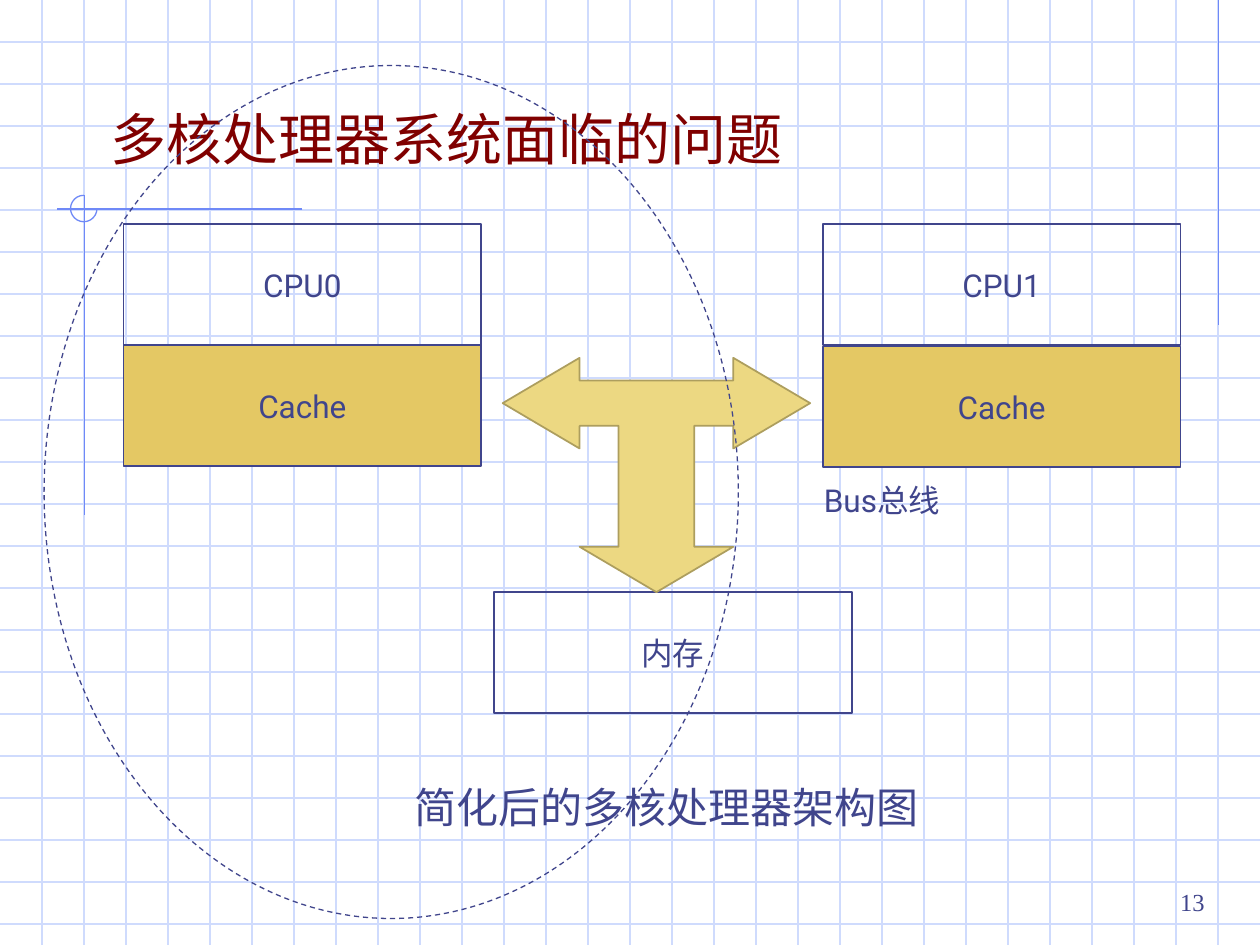
"""Build the slide on the problem facing multi-core processor systems."""
from lxml.etree import SubElement
from pptx import Presentation
from pptx.dml.color import RGBColor
from pptx.enum.dml import MSO_LINE
from pptx.enum.shapes import MSO_CONNECTOR, MSO_SHAPE
from pptx.enum.text import MSO_ANCHOR, PP_ALIGN
from pptx.oxml.ns import qn
from pptx.util import Inches, Pt

GRID = RGBColor(0xCF, 0xDB, 0xFD)
BLUE = RGBColor(0x6F, 0x89, 0xF7)
NAVY = RGBColor(0x40, 0x45, 0x8C)
RED = RGBColor(0x80, 0x00, 0x00)
GOLD = RGBColor(0xE4, 0xC8, 0x64)
SAND = RGBColor(0xEC, 0xD8, 0x82)
OLIVE = RGBColor(0xAD, 0x9E, 0x5E)
CJK = "Noto Sans CJK SC"

deck = Presentation()
deck.slide_width, deck.slide_height = Inches(10), Inches(7.5)
slide = deck.slides.add_slide(deck.slide_layouts[6])
shapes = slide.shapes


def rule(x1, y1, x2, y2, color):
    line = shapes.add_connector(
        MSO_CONNECTOR.STRAIGHT, Inches(x1), Inches(y1), Inches(x2), Inches(y2))
    line.line.color.rgb = color
    line.line.width = Pt(0.75)
    SubElement(line._element.spPr, qn("a:effectLst"))


def write(shape, text, size=18, font="Roboto", color=NAVY,
          align=PP_ALIGN.LEFT, anchor=MSO_ANCHOR.TOP, wrap=True):
    frame = shape.text_frame
    frame.word_wrap = wrap
    frame.vertical_anchor = anchor
    para = frame.paragraphs[0]
    para.alignment = align
    run = para.add_run()
    run.text = text
    run.font.size = Pt(size)
    run.font.color.rgb = color
    run.font.name = font
    SubElement(run._r.get_or_add_rPr(), qn("a:ea"), typeface=CJK)


for row in range(1, 23):
    rule(0, row / 3, 10, row / 3, GRID)
for col in range(1, 30):
    rule(col / 3, 0, col / 3, 7.5, GRID)

rule(9.67, 0, 9.67, 2.58, BLUE)
rule(2.4, 1.66, 0.45, 1.66, BLUE)
rule(0.67, 1.55, 0.67, 4.09, BLUE)
arc = shapes.add_shape(
    MSO_SHAPE.ARC, Inches(0.56), Inches(1.55), Inches(0.21), Inches(0.21))
arc.adjustments[0] = 0
arc.adjustments[1] = 162
arc.fill.background()
arc.line.color.rgb = BLUE
arc.line.width = Pt(0.75)
arc.shadow.inherit = False

labels = [
    (7.58, 6.99, 2.08, 0.5, "13",
     dict(size=14, font="Times New Roman", align=PP_ALIGN.RIGHT)),
    (0.78, 0.78, 8.02, 0.64, "多核处理器系统面临的问题",
     dict(size=32, font=CJK, color=RED)),
    (6.44, 3.77, 1.19, 0.4, "Bus总线", dict(wrap=False)),
    (3.19, 6.15, 4.2, 0.5, "简化后的多核处理器架构图",
     dict(size=24, font=CJK, wrap=False)),
]
for x, y, wide, high, text, style in labels:
    box = shapes.add_textbox(Inches(x), Inches(y), Inches(wide), Inches(high))
    write(box, text, **style)

blocks = [
    (0.98, 1.78, "CPU0", None),
    (0.98, 2.74, "Cache", GOLD),
    (6.53, 1.78, "CPU1", None),
    (6.53, 2.75, "Cache", GOLD),
    (3.92, 4.7, "内存", None),
]
for x, y, text, fill in blocks:
    block = shapes.add_shape(
        MSO_SHAPE.RECTANGLE, Inches(x), Inches(y), Inches(2.84), Inches(0.96))
    block.shadow.inherit = False
    block.line.color.rgb = NAVY
    block.line.width = Pt(1)
    if fill:
        block.fill.solid()
        block.fill.fore_color.rgb = fill
    else:
        block.fill.background()
    write(block, text, align=PP_ALIGN.CENTER, anchor=MSO_ANCHOR.MIDDLE)

mid = 5.21
half = [(0, 4.7), (0.61, 4.34), (0.3, 4.34), (0.3, 3.38), (0.61, 3.38),
        (0.61, 3.56), (1.22, 3.2), (0.61, 2.84), (0.61, 3.02)]
points = [(mid + dx, y) for dx, y in half]
points += [(mid - dx, y) for dx, y in reversed(half[1:])]
points = [(Inches(x), Inches(y)) for x, y in points]
path = shapes.build_freeform(*points[0])
path.add_line_segments(points[1:], close=True)
bus = path.convert_to_shape()
bus.shadow.inherit = False
bus.fill.solid()
bus.fill.fore_color.rgb = SAND
bus.line.color.rgb = OLIVE
bus.line.width = Pt(1)

ring = shapes.add_shape(
    MSO_SHAPE.OVAL, Inches(0.35), Inches(0.52), Inches(5.51), Inches(6.77))
ring.shadow.inherit = False
ring.fill.background()
ring.line.color.rgb = NAVY
ring.line.width = Pt(0.75)
ring.line.dash_style = MSO_LINE.DASH

deck.save("out.pptx")
